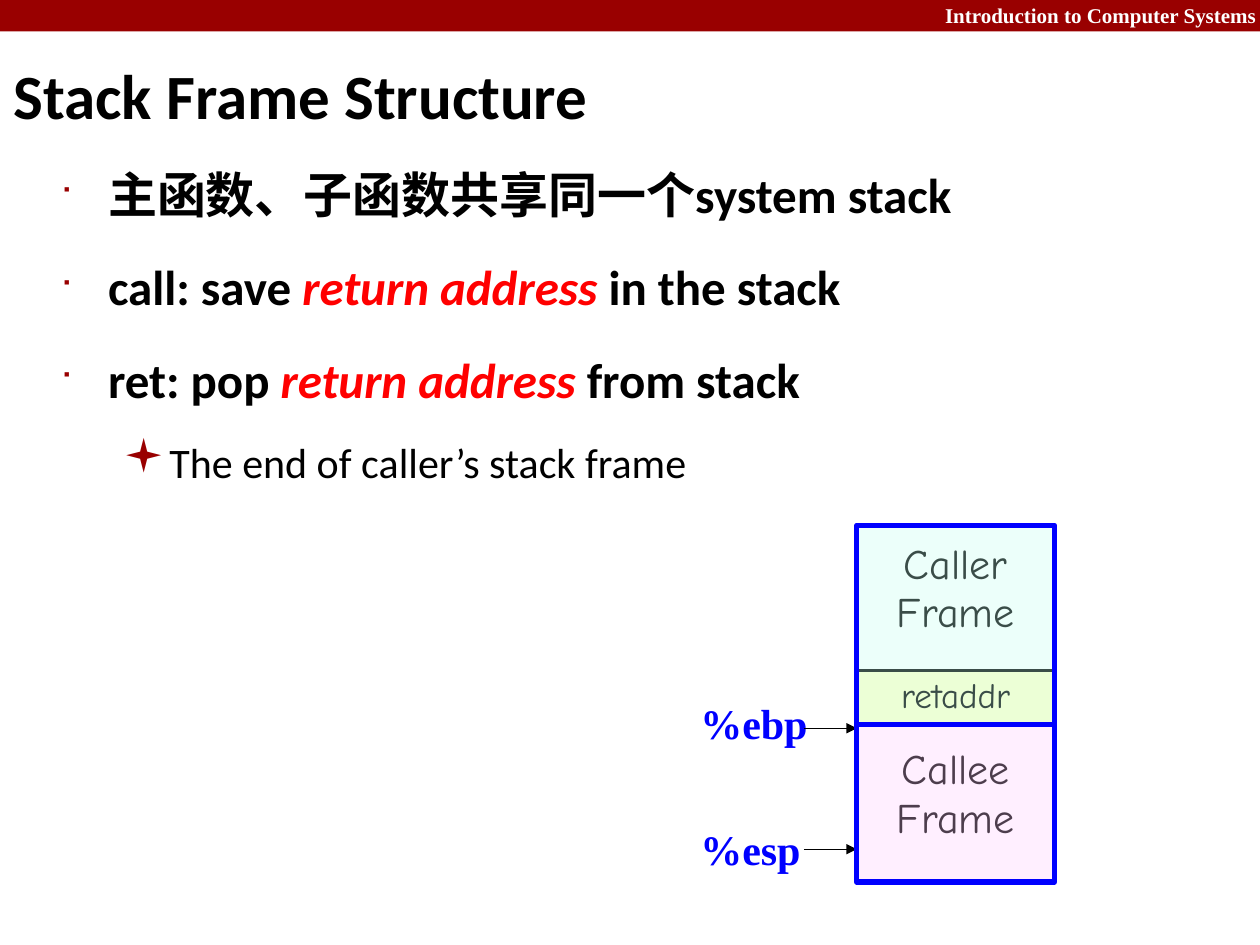
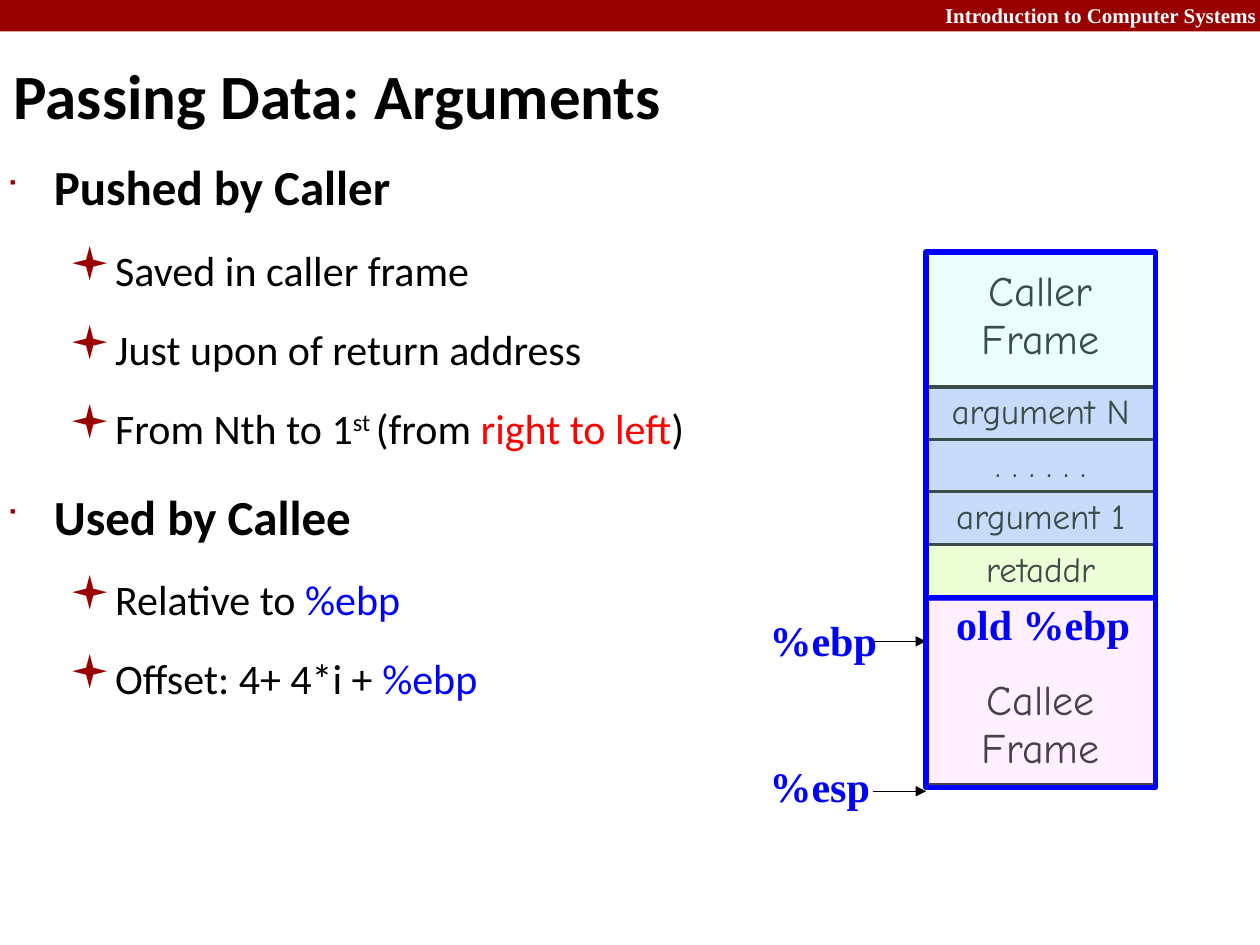
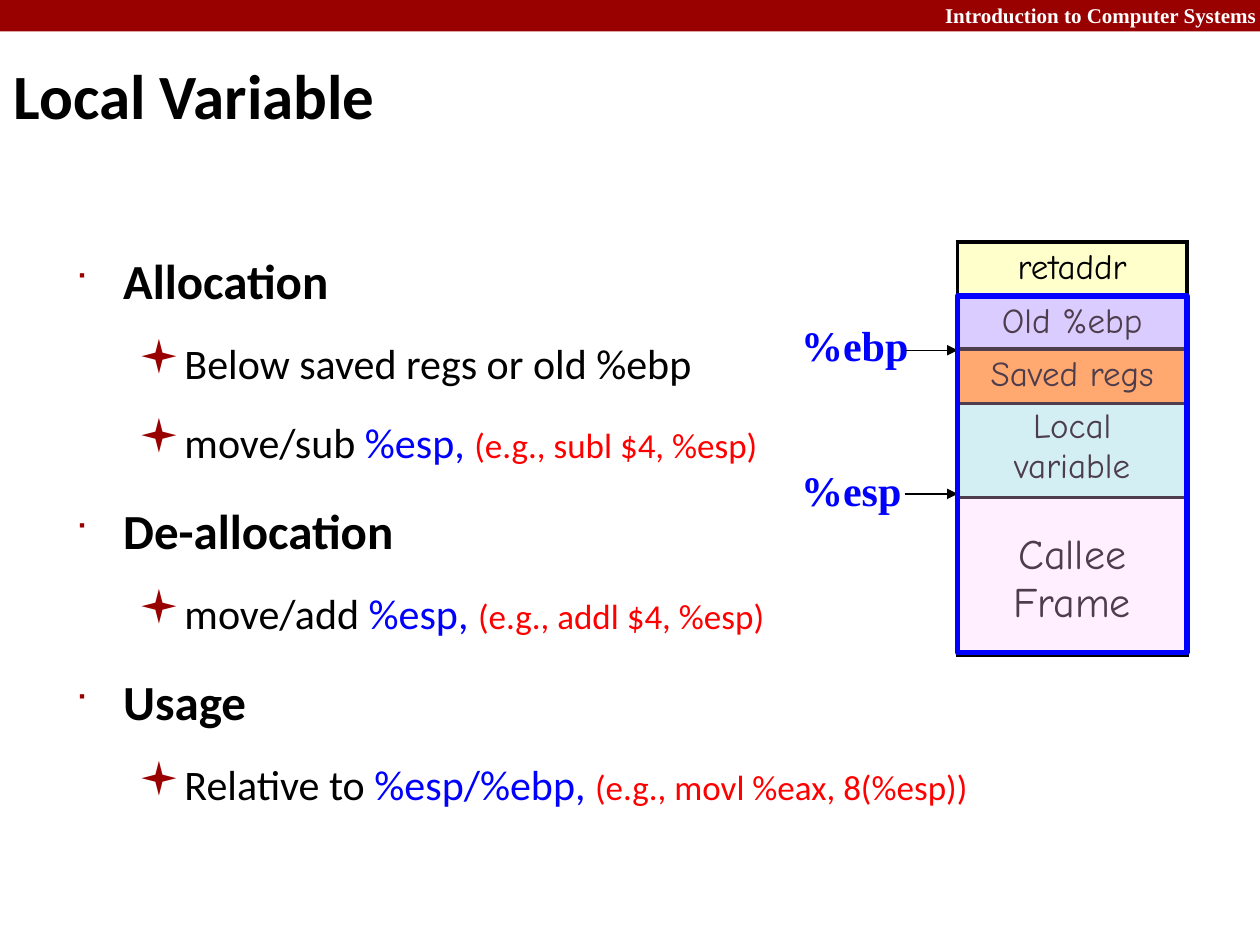
import pptx
import pptx.dml.color
import pptx.enum.shapes
import pptx.enum.text
import pptx.oxml
import pptx.oxml.ns
import pptx.util

COLORS = {
    "band": "990000",
    "paper": "FFFFFF",
    "ink": "000000",
    "red": "FF0000",
    "blue": "0000FF",
    "caller": "C2FFF0",
    "callee": "FFCCFF",
    "return": "FFFFCC",
    "argument": "CCCCFF",
    "saved": "FF9933",
}
BODY_FONT, LABEL_FONT, CELL_FONT = "Calibri", "Times New Roman", "Comic Neue"
MARK_FONT = "Wingdings"
COLUMNS, ROWS = 100, 75
LEVELS = [
    {"size": 28, "bold": True, "before": 5.7, "left": 0.38, "hang": 0.38, "mark": "■", "scale": 60},
    {"size": 24, "bold": False, "before": 4.8, "left": 0.81, "hang": 0.31, "mark": "▪", "scale": 110},
]
ACCENTS = {
    "plain": {},
    "term": {"color": "red", "italic": True},
    "red": {"color": "red"},
    "blue": {"color": "blue"},
    "example": {"color": "red", "size": 20},
    "ordinal": {"baseline": 30000},
}


def rgb(name):
    return pptx.dml.color.RGBColor.from_string(COLORS[name])


def add_xml(parent, markup):
    start, rest = markup.split(" ", 1)
    element = pptx.oxml.parse_xml(f"{start} {pptx.oxml.ns.nsdecls('a')} {rest}")
    parent.append(element)


def set_font(font, face=None, size=None, color=None, bold=None, italic=None):
    if face:
        font.name = face
    if size:
        font.size = pptx.util.Pt(size)
    if color:
        font.color.rgb = rgb(color)
    if bold is not None:
        font.bold = bold
    if italic is not None:
        font.italic = italic


class Deck:
    def __init__(self):
        self.file = pptx.Presentation()
        self.file.slide_width = pptx.util.Inches(10)
        self.file.slide_height = pptx.util.Inches(7.5)
        self.slide = None
        self.stack_left = self.stack_width = 0

    def x(self, columns):
        return round(self.file.slide_width * columns / COLUMNS)

    def y(self, rows):
        return round(self.file.slide_height * rows / ROWS)

    def area(self, left, top, width, height):
        return self.x(left), self.y(top), self.x(width), self.y(height)

    def start(self, title, stack_left, stack_width):
        self.slide = self.file.slides.add_slide(self.file.slide_layouts[6])
        self.stack_left, self.stack_width = stack_left, stack_width
        self.block(0, 0, COLUMNS, 2.5, "band")
        course = self.text("Introduction to Computer Systems", 60, -0.3, 40.7, 3,
                           LABEL_FONT, 12, "paper")
        course.paragraphs[0].alignment = pptx.enum.text.PP_ALIGN.RIGHT
        heading = self.text(title, 0.1, 3.3, 83, 8.3, BODY_FONT, 36, "ink")
        heading.vertical_anchor = pptx.enum.text.MSO_ANCHOR.MIDDLE

    def block(self, left, top, width, height, fill, opacity=None, outline=None):
        rect = self.slide.shapes.add_shape(
            pptx.enum.shapes.MSO_SHAPE.RECTANGLE, *self.area(left, top, width, height))
        rect.shadow.inherit = False
        rect.fill.solid()
        rect.fill.fore_color.rgb = rgb(fill)
        if opacity:
            tint = rect._element.spPr.find(".//" + pptx.oxml.ns.qn("a:srgbClr"))
            add_xml(tint, f'<a:alpha val="{opacity * 1000}"/>')
        if outline:
            rect.line.color.rgb = rgb(outline)
            rect.line.width = pptx.util.Pt(3)
        else:
            rect.line.fill.background()

    def text(self, words, left, top, width, height, face, size, color, wrap=True):
        frame = self.slide.shapes.add_textbox(*self.area(left, top, width, height)).text_frame
        frame.word_wrap = wrap
        frame.paragraphs[0].text = words
        set_font(frame.paragraphs[0].font, face, size, color, bold=True)
        return frame

    def bullets(self, left, top, points):
        frame = self.slide.shapes.add_textbox(*self.area(left, top, 91.7, 48.3)).text_frame
        frame.word_wrap = True
        for index, (depth, *pieces) in enumerate(points):
            level = LEVELS[depth]
            point = frame.add_paragraph() if index else frame.paragraphs[0]
            point.level = depth
            point.line_spacing = 1.4
            point.space_before = pptx.util.Pt(level["before"] if index else 0)
            layout = point._p.get_or_add_pPr()
            layout.set("marL", str(pptx.util.Inches(level["left"])))
            layout.set("indent", str(-pptx.util.Inches(level["hang"])))
            add_xml(layout, f'<a:buClr ><a:srgbClr val="{COLORS["band"]}"/></a:buClr>')
            add_xml(layout, f'<a:buSzPct val="{level["scale"] * 1000}"/>')
            add_xml(layout, f'<a:buFont typeface="{MARK_FONT}" charset="2"/>')
            add_xml(layout, f'<a:buChar char="{level["mark"]}"/>')
            set_font(point.font, BODY_FONT, level["size"], "ink", level["bold"])
            for piece in pieces:
                words, accent = piece if isinstance(piece, tuple) else (piece, "plain")
                run = point.add_run()
                run.text = words
                look = dict(ACCENTS[accent])
                baseline = look.pop("baseline", None)
                set_font(run.font, **look)
                if baseline:
                    run._r.get_or_add_rPr().set("baseline", str(baseline))

    def cell(self, label, top, height=4.3, fill=None, size=20, pad=0.5):
        table = self.slide.shapes.add_table(
            1, 1, *self.area(self.stack_left, top, self.stack_width, height)).table
        table.first_row = table.horz_banding = False
        cell = table.cell(0, 0)
        cell.margin_top = self.y(pad)
        borders = cell._tc.get_or_add_tcPr()
        for side in "LRTB":
            add_xml(borders, f'<a:ln{side} w="{pptx.util.Pt(2.25)}"><a:solidFill>'
                             f'<a:srgbClr val="{COLORS["ink"]}"/></a:solidFill></a:ln{side}>')
        if fill:
            cell.fill.solid()
            cell.fill.fore_color.rgb = rgb(fill)
        else:
            cell.fill.background()
        entry = cell.text_frame.paragraphs[0]
        entry.text = label
        entry.alignment = pptx.enum.text.PP_ALIGN.CENTER
        set_font(entry.font, CELL_FONT, size, "ink", bold=False)

    def frame(self, kind, top, height):
        self.block(self.stack_left, top, self.stack_width, height, kind, 30, "blue")

    def register(self, name, top, pointer):
        self.text(name, self.stack_left - 13.4, top, 12, 5, LABEL_FONT, 24, "blue", wrap=False)
        arrow = self.slide.shapes.add_connector(
            pptx.enum.shapes.MSO_CONNECTOR.STRAIGHT,
            self.x(self.stack_left - 4.2), self.y(pointer), self.x(self.stack_left), self.y(pointer))
        arrow.line.color.rgb = rgb("ink")
        arrow.line.width = pptx.util.Pt(0.75)
        add_xml(arrow.line._get_or_add_ln(), '<a:tailEnd type="triangle"/>')
        add_xml(arrow._element.spPr, "<a:effectLst />")


def stack_frame_structure(deck):
    deck.start("Stack Frame Structure", 68, 15.7)
    deck.bullets(3.8, 10.7, [
        (0, "主函数、子函数共享同一个system stack"),
        (0, "call: save ", ("return address", "term"), " in the stack"),
        (0, "ret: pop ", ("return address", "term"), " from stack"),
        (1, "The end of caller’s stack frame"),
    ])
    deck.cell("Callee\vFrame", 57.5, 12.5, size=24, pad=1.8)
    deck.register("%ebp", 54.9, 57.8)
    deck.register("%esp", 64.9, 67.4)
    deck.cell("retaddr", 53.2, fill="return")
    deck.cell("Caller\vFrame", 41.7, 15.8, size=24, pad=1.3)
    deck.frame("caller", 41.7, 15.8)
    deck.frame("callee", 57.5, 12.5)


def passing_arguments(deck):
    deck.start("Passing Data: Arguments", 73.5, 18.2)
    for index, label in enumerate(["argument N", ". . . . . .", "argument 1"]):
        deck.cell(label, 30.7 + 4.16 * index, fill="argument")
    deck.bullets(-0.5, 10.1, [
        (0, "Pushed by Caller"),
        (1, "Saved in caller frame"),
        (1, "Just upon of return address"),
        (1, "From Nth to 1", ("st ", "ordinal"), "(from ", ("right to left", "red"), ")"),
        (0, "Used by Callee"),
        (1, "Relative to ", ("%ebp", "blue")),
        (1, "Offset: 4+ 4*i + ", ("%ebp", "blue")),
    ])
    deck.cell("Callee\vFrame", 47.5, 14.5, size=24, pad=6.3)
    deck.register("%ebp", 48.3, 50.9)
    deck.register("%esp", 59.9, 62.8)
    deck.cell("retaddr", 43.2, fill="return")
    deck.cell("Caller\vFrame", 20, 27.5, size=24, pad=1.3)
    deck.frame("caller", 20, 27.5)
    deck.frame("callee", 47.4, 15.1)
    deck.text("old %ebp", 74.9, 47, 16, 5, LABEL_FONT, 24, "blue", wrap=False)


def local_variable(deck):
    deck.start("Local Variable", 76, 18.2)
    deck.cell("Old %ebp", 23.5, fill="argument")
    deck.cell("Local variable", 31.8, 7.7, fill="caller")
    deck.cell("Saved regs", 27.7, fill="saved")
    deck.bullets(5, 17.5, [
        (0, "Allocation"),
        (1, "Below saved regs or old %ebp"),
        (1, "move/sub ", ("%esp, ", "blue"), ("(e.g., subl $4, %esp)", "example")),
        (0, "De-allocation"),
        (1, "move/add ", ("%esp, ", "blue"), ("(e.g., addl $4, %esp)", "example")),
        (0, "Usage"),
        (1, "Relative to ", ("%esp/%ebp, ", "blue"), ("(e.g., movl %eax, 8(%esp))", "example")),
    ])
    deck.cell("Callee\vFrame", 23.5, 28.5, size=24, pad=18.7)
    deck.register("%ebp", 24.9, 27.8)
    deck.register("%esp", 36.4, 39.2)
    deck.cell("retaddr", 19.2, fill="return")
    deck.frame("callee", 23.5, 28.3)


def main():
    deck = Deck()
    stack_frame_structure(deck)
    passing_arguments(deck)
    local_variable(deck)
    deck.file.save("out.pptx")


if __name__ == "__main__":
    main()
